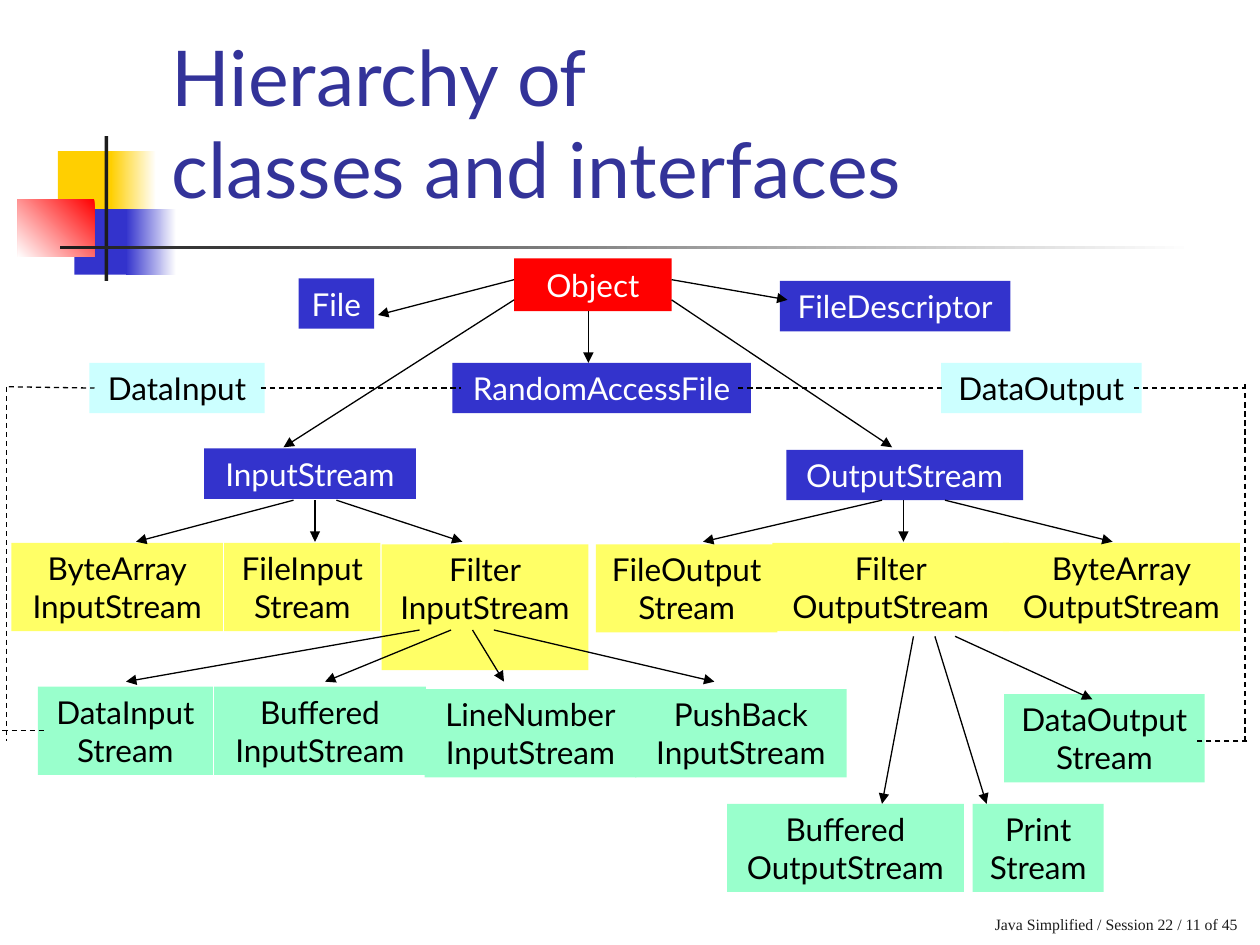
import pptx
import pptx.util
import pptx.dml.color
import pptx.enum.dml
import pptx.enum.shapes
import pptx.enum.text
import pptx.oxml

RGBColor = pptx.dml.color.RGBColor
WHITE = RGBColor(0xFF, 0xFF, 0xFF)
BLACK = RGBColor(0x00, 0x00, 0x00)
CHARCOAL = RGBColor(0x1C, 0x1C, 0x1C)
NAVY = RGBColor(0x33, 0x33, 0x99)
BLUE = RGBColor(0x33, 0x33, 0xCC)
RED = RGBColor(0xFF, 0x00, 0x00)
GOLD = RGBColor(0xFF, 0xCF, 0x01)
YELLOW = RGBColor(0xFF, 0xFF, 0x66)
CYAN = RGBColor(0xCC, 0xFF, 0xFF)
MINT = RGBColor(0x99, 0xFF, 0xCC)

ONE_LINE, TWO_LINES = 0.4, 0.7  # box heights

# Class boxes: text, left, top, width, height, fill
CLASSES = [
    ("Object", 4.08, 2.05, 1.25, 0.42, RED),
    ("File", 2.37, 2.21, 0.6, ONE_LINE, BLUE),
    ("FileDescriptor", 6.19, 2.23, 1.83, ONE_LINE, BLUE),
    ("RandomAccessFile", 3.59, 2.88, 2.37, ONE_LINE, BLUE),
    ("DataInput", 0.71, 2.88, 1.39, ONE_LINE, CYAN),
    ("DataOutput", 7.47, 2.88, 1.59, ONE_LINE, CYAN),
    ("DataInput\nStream", 0.3, 5.45, 1.39, TWO_LINES, MINT),
    ("Buffered\nInputStream", 1.7, 5.45, 1.68, TWO_LINES, MINT),
    ("LineNumber\nInputStream", 3.37, 5.47, 1.68, TWO_LINES, MINT),
    ("PushBack\nInputStream", 5.04, 5.47, 1.68, TWO_LINES, MINT),
    ("Filter\nInputStream", 3.03, 4.32, 1.64, 1, YELLOW),
    ("InputStream", 1.62, 3.56, 1.68, ONE_LINE, BLUE),
    ("ByteArray\nInputStream", 0.09, 4.31, 1.68, TWO_LINES, YELLOW),
    ("FileInput\nStream", 1.78, 4.31, 1.24, TWO_LINES, YELLOW),
    ("OutputStream", 6.24, 3.57, 1.88, ONE_LINE, BLUE),
    ("FileOutput\nStream", 4.73, 4.32, 1.44, TWO_LINES, YELLOW),
    ("Filter\nOutputStream", 6.13, 4.31, 1.88, TWO_LINES, YELLOW),
    ("ByteArray\nOutputStream", 7.96, 4.31, 1.88, TWO_LINES, YELLOW),
    ("Buffered\nOutputStream", 5.77, 6.38, 1.88, TWO_LINES, MINT),
    ("DataOutput\nStream", 7.97, 5.51, 1.59, TWO_LINES, MINT),
    ("Print\nStream", 7.72, 6.38, 1.04, TWO_LINES, MINT),
]

# Inheritance arrows: start x, start y, end x, end y
ARROWS = [
    # from Object
    (5.33, 2.22, 6.25, 2.38), (4.08, 2.22, 3, 2.5), (4.08, 2.38, 2.25, 3.55),
    (5.33, 2.38, 7.08, 3.55), (4.67, 2.47, 4.67, 2.88),
    # from InputStream
    (2.33, 3.97, 1.08, 4.3), (2.5, 3.97, 2.5, 4.3), (2.67, 3.97, 3.67, 4.3),
    # from OutputStream
    (7, 3.97, 5.58, 4.3), (7.17, 3.97, 7.17, 4.3), (7.5, 3.97, 8.83, 4.3),
    # from FilterInputStream
    (3.33, 5, 1, 5.41), (3.58, 5, 2.58, 5.41), (3.75, 5, 4, 5.41), (3.92, 5, 5.67, 5.41),
    # from FilterOutputStream
    (7.25, 5.05, 7, 6.38), (7.42, 5.05, 7.83, 6.38), (7.58, 5.05, 8.67, 5.55),
]

# Dashed links to the interfaces
INTERFACE_LINKS = [
    (0.07, 3.07, 0.75, 3.08), (2.07, 3.08, 3.66, 3.08), (5.86, 3.08, 7.5, 3.08),
    (9, 3.08, 9.89, 3.08), (0.05, 3.07, 0.05, 5.88), (0.02, 5.8, 0.36, 5.8),
    (9.88, 3.05, 9.88, 5.88), (9.9, 5.88, 9.5, 5.88),
]


def lengths(*inches):
    return [pptx.util.Cm(value * 2.54) for value in inches]


def format_text(frame, size, font, color, align):
    for para in frame.paragraphs:
        para.alignment = align
        for span in para.runs:
            span.font.size = pptx.util.Pt(size)
            span.font.name = font
            span.font.color.rgb = color


def add_block(page, place, color, end_color=None, angle=180):
    box = page.shapes.add_shape(pptx.enum.shapes.MSO_SHAPE.RECTANGLE, *lengths(*place))
    box.shadow.inherit = False
    box.line.fill.background()
    if end_color is None:
        box.fill.solid()
        box.fill.fore_color.rgb = color
    else:
        box.fill.gradient()
        box.fill.gradient_angle = angle
        for stop, stop_color in zip(box.fill.gradient_stops, (color, end_color)):
            stop.color.rgb = stop_color
    return box


def add_class(page, text, left, top, width, height, fill):
    box = add_block(page, (left, top, width, height), fill)
    frame = box.text_frame
    frame.text = text
    frame.word_wrap = False
    frame.vertical_anchor = (pptx.enum.text.MSO_ANCHOR.MIDDLE if fill == RED
                             else pptx.enum.text.MSO_ANCHOR.TOP)
    color = WHITE if fill in (RED, BLUE) else BLACK
    format_text(frame, 18, "Lato", color, pptx.enum.text.PP_ALIGN.CENTER)


def add_line(page, ends, arrow=False):
    line = page.shapes.add_connector(
        pptx.enum.shapes.MSO_CONNECTOR.STRAIGHT, *lengths(*ends))
    line.line.color.rgb = BLACK
    line.line.width = pptx.util.Pt(0.75)
    properties = line.line._get_or_add_ln()
    if arrow:
        head = pptx.oxml.parse_xml(
            '<a:tailEnd xmlns:a="http://schemas.openxmlformats.org/drawingml/2006/main"'
            ' type="triangle"/>')
        properties.append(head)
    else:
        line.line.dash_style = pptx.enum.dml.MSO_LINE.DASH
    # An empty effect list keeps the theme shadow off
    properties.addnext(pptx.oxml.parse_xml(
        '<a:effectLst xmlns:a="http://schemas.openxmlformats.org/drawingml/2006/main"/>'))


def add_ornament(page):
    add_block(page, (0.46, 1.2, 0.48, 0.52), GOLD)
    add_block(page, (0.88, 1.2, 0.36, 0.52), WHITE, GOLD)
    add_block(page, (0.59, 1.66, 0.46, 0.52), BLUE)
    add_block(page, (1, 1.66, 0.4, 0.52), WHITE, BLUE)
    add_block(page, (0.14, 1.58, 0.61, 0.46), RED, WHITE, 225)
    add_block(page, (0.83, 1.08, 0.03, 1.15), CHARCOAL)
    add_block(page, (0.48, 1.95, 9, 0.03), WHITE, CHARCOAL)


def set_title(page, text):
    title = page.shapes.title
    title.left, title.top, title.width, title.height = lengths(1.26, 0.5, 8.52, 1.25)
    frame = title.text_frame
    frame.text = text
    frame.auto_size = pptx.enum.text.MSO_AUTO_SIZE.NONE
    frame.vertical_anchor = pptx.enum.text.MSO_ANCHOR.BOTTOM
    format_text(frame, 44, "Lato", NAVY, pptx.enum.text.PP_ALIGN.LEFT)


def add_footer(page, text):
    frame = page.shapes.add_textbox(*lengths(5.42, 6.96, 4.5, 0.5)).text_frame
    frame.word_wrap = True
    frame.text = text
    frame.vertical_anchor = pptx.enum.text.MSO_ANCHOR.BOTTOM
    format_text(frame, 9, "Times New Roman", CHARCOAL, pptx.enum.text.PP_ALIGN.RIGHT)


def main():
    deck = pptx.Presentation()
    deck.slide_width, deck.slide_height = lengths(10, 7.5)
    page = deck.slides.add_slide(deck.slide_layouts[5])

    # Frame of the page
    add_ornament(page)
    add_footer(page, "Java Simplified / Session 22 / 11 of 45")
    set_title(page, "Hierarchy of \vclasses and interfaces")

    # Class tree
    for entry in CLASSES:
        add_class(page, *entry)
    for ends in ARROWS:
        add_line(page, ends, arrow=True)
    for ends in INTERFACE_LINKS:
        add_line(page, ends)

    deck.save("out.pptx")


if __name__ == "__main__":
    main()
